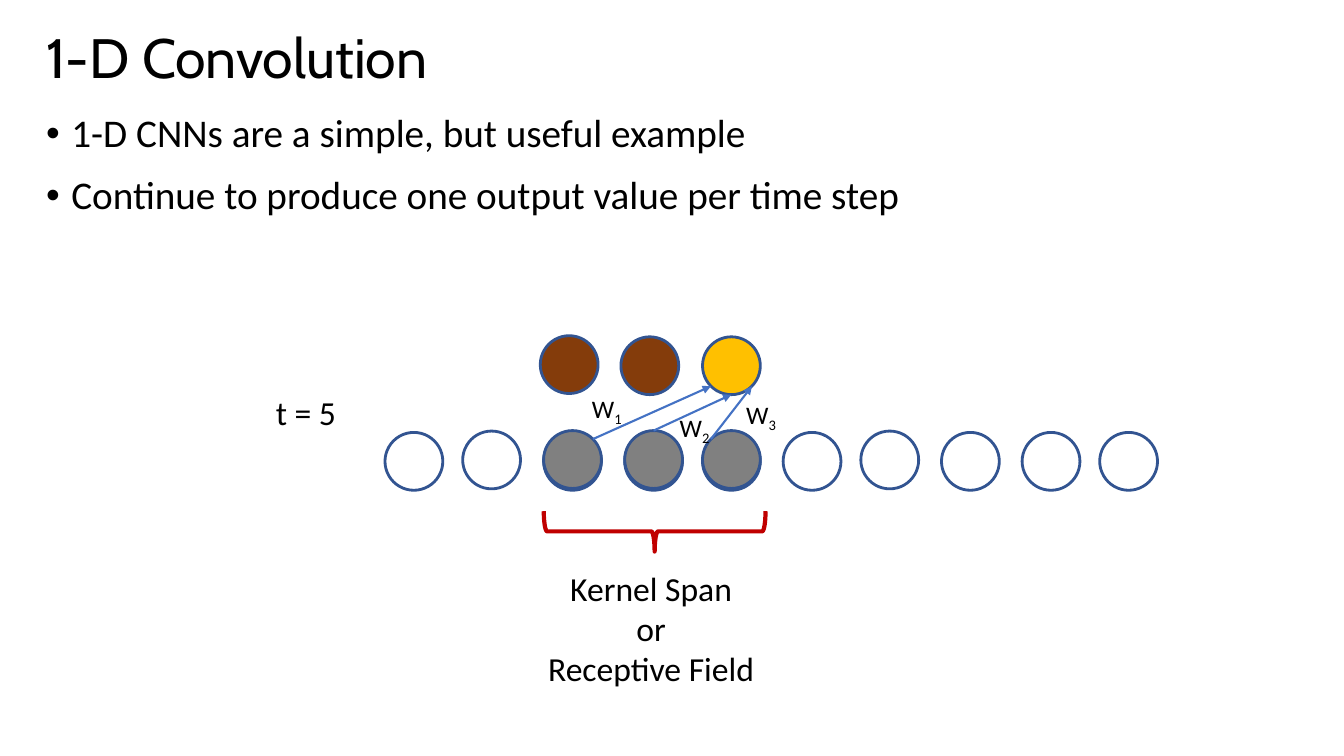
"""Builds the 1-D convolution slide: inputs, kernel span, weights and outputs."""
from dataclasses import dataclass

from lxml import etree
from pptx import Presentation
from pptx.dml.color import RGBColor
from pptx.enum.shapes import MSO_CONNECTOR as Connector, MSO_SHAPE as Shape
from pptx.enum.text import MSO_ANCHOR as Anchor, PP_ALIGN as Align
from pptx.oxml.ns import qn
from pptx.util import Pt


@dataclass(frozen=True)
class Theme:
    """Colours, fonts and type sizes."""
    ink: str = "000000"
    outline: str = "325491"
    arrow: str = "4472C4"
    brace: str = "C00000"
    kernel: str = "808080"
    done: str = "843C0B"
    current: str = "FFC000"
    heading: str = "Cabin"
    body: str = "Calibri"
    title_size: float = 39.6
    bullet_size: float = 28
    label_size: float = 24
    weight_size: float = 18


THEME = Theme()
TITLE = ["1-D Convolution"]
BULLETS = ["1-D CNNs are a simple, but useful example",
           "Continue to produce one output value per time step"]
TIME_STEP = ["t = 5"]
SPAN_CAPTION = ["Kernel Span", "or", "Receptive Field"]

DIAMETER = 41.3
INPUT_TOP, KERNEL_TOP = 308.9, 307.6
INPUT_LEFTS = [275, 330.5, 388.3, 446.2, 501.8, 559.4, 614.9, 672.5, 730.1, 785.5]
RAISED_INPUTS = {1, 6}
KERNEL_LEFTS = INPUT_LEFTS[2:5]
OUTPUTS = [(385.9, 239.8, THEME.done), (443.5, 240.6, THEME.done),
           (501.8, 240.6, THEME.current)]

NEAR = 0.146
FAR = 1 - NEAR
WEIGHTS = [("1", (FAR, NEAR), (NEAR, FAR), (414.7, 277.2)),
           ("2", (0.5, 0), (0.5, 1), (477.4, 290.9)),
           ("3", (NEAR, NEAR), (FAR, FAR), (524.9, 281.5))]

prs = Presentation()
prs.slide_width, prs.slide_height = Pt(960), Pt(540)
slide = prs.slides.add_slide(prs.slide_layouts[6])
shapes = slide.shapes


def style(run, size, font=THEME.body):
    run.font.size = Pt(size)
    run.font.name = font
    run.font.color.rgb = RGBColor.from_string(THEME.ink)


def add_text(lines, box, size, font=THEME.body, align=Align.CENTER, wrap=True):
    frame = shapes.add_textbox(*map(Pt, box)).text_frame
    frame.word_wrap = wrap
    frame.text = "\n".join(lines)
    for paragraph in frame.paragraphs:
        paragraph.alignment = align
        for run in paragraph.runs:
            style(run, size, font)
    return frame


def add_circle(left, top, fill=None):
    circle = shapes.add_shape(Shape.OVAL, Pt(left), Pt(top), Pt(DIAMETER), Pt(DIAMETER))
    circle.shadow.inherit = False
    circle.line.color.rgb = RGBColor.from_string(THEME.outline)
    circle.line.width = Pt(2)
    if fill:
        circle.fill.solid()
        circle.fill.fore_color.rgb = RGBColor.from_string(fill)
    else:
        circle.fill.background()


def point_on(left, top, site):
    return Pt(left + DIAMETER * site[0]), Pt(top + DIAMETER * site[1])


def add_arrow(start, end):
    arrow = shapes.add_connector(Connector.STRAIGHT, *start, *end)
    arrow.line.color.rgb = RGBColor.from_string(THEME.arrow)
    arrow.line.width = Pt(1.5)
    etree.SubElement(arrow.line._get_or_add_ln(), qn("a:tailEnd"), type="triangle")
    etree.SubElement(arrow._element.spPr, qn("a:effectLst"))


bullets = add_text(BULLETS, (25.9, 77.8, 907.2, 113), THEME.bullet_size, align=Align.LEFT)
for bullet in bullets.paragraphs:
    bullet.line_spacing = 0.9
    bullet.space_before = Pt(14)
    properties = bullet._p.get_or_add_pPr()
    properties.set("marL", str(Pt(18)))
    properties.set("indent", str(-Pt(18)))
    etree.SubElement(properties, qn("a:buFont"), typeface="Arial")
    etree.SubElement(properties, qn("a:buChar"), char="•")

title = add_text(TITLE, (25.9, 16.6, 917.3, 53.3), THEME.title_size, THEME.heading, Align.LEFT)
title.vertical_anchor = Anchor.MIDDLE
title.paragraphs[0].line_spacing = 0.9

for index, left in enumerate(INPUT_LEFTS):
    add_circle(left, INPUT_TOP - (index in RAISED_INPUTS))

add_text(TIME_STEP, (183.6, 276.5, 69.8, 36), THEME.label_size, wrap=False)

brace = shapes.add_shape(Shape.RIGHT_BRACE, Pt(453.2), Pt(300.4), Pt(28.8), Pt(158.4))
brace.rotation = 90
brace.shadow.inherit = False
brace.fill.background()
brace.line.color.rgb = RGBColor.from_string(THEME.brace)
brace.line.width = Pt(3)

add_text(SPAN_CAPTION, (382.3, 401.8, 165.6, 94.3), THEME.label_size)

for output in OUTPUTS:
    add_circle(*output)
for left in KERNEL_LEFTS:
    add_circle(left, KERNEL_TOP, THEME.kernel)

target_left, target_top, _ = OUTPUTS[-1]
for left, (_, start, end, _) in zip(KERNEL_LEFTS, WEIGHTS):
    add_arrow(point_on(left, KERNEL_TOP, start), point_on(target_left, target_top, end))

for subscript, _, _, corner in WEIGHTS:
    label = add_text(["W"], (*corner, 37.4, 28.8), THEME.weight_size, wrap=False)
    number = label.paragraphs[0].add_run()
    number.text = subscript
    style(number, THEME.weight_size)
    number._r.get_or_add_rPr().set("baseline", "-25000")

prs.save("out.pptx")
